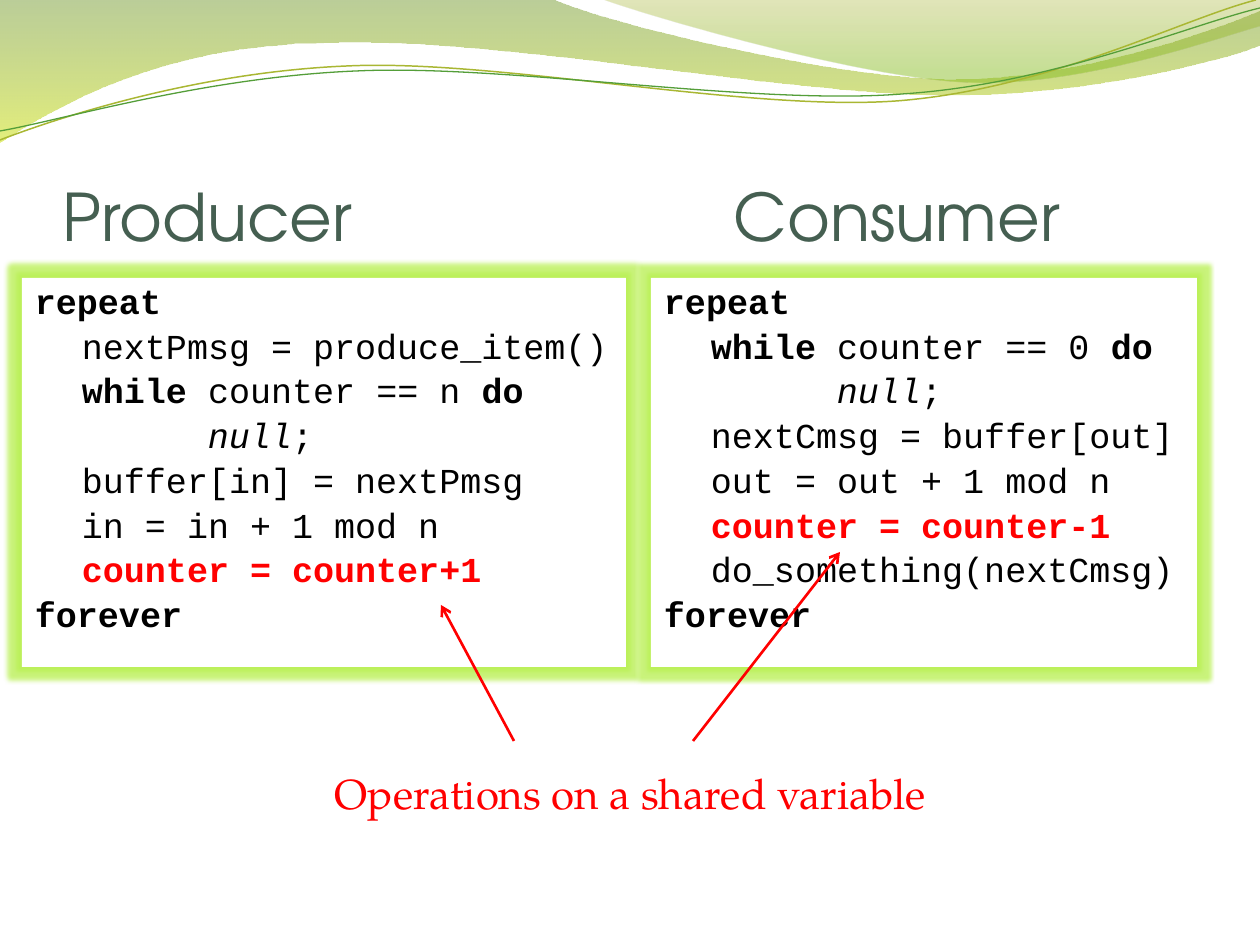
from lxml import etree
from pptx import Presentation
from pptx.dml.color import RGBColor
from pptx.enum.shapes import MSO_CONNECTOR, MSO_SHAPE
from pptx.enum.text import MSO_ANCHOR, PP_ALIGN
from pptx.oxml.ns import qn
from pptx.util import Pt

STRAIGHT = MSO_CONNECTOR.STRAIGHT
RECT = MSO_SHAPE.RECTANGLE
TOP, BOTTOM = MSO_ANCHOR.TOP, MSO_ANCHOR.BOTTOM
LEFT, CENTER = PP_ALIGN.LEFT, PP_ALIGN.CENTER

PX = 914400 / 126
COLORS = {
    "white": "FFFFFF", "black": "000000", "red": "FF0000", "title": "455F51",
    "moss": "69921C", "lime": "CCE10F", "olive": "9BAA1A", "leaf": "81BA16",
    "gold": "A9B733", "green": "549E39", "glow": "B8F050",
}
STYLES = {"": {}, "b": {"bold": True}, "i": {"italic": True},
          "r": {"bold": True, "color": "red"}}

BAND = [(0, 0), (554, 0), (599, 21, 835, 79, 955, 79),
        (1075, 79, 1207, 33, 1260, 11), (1260, 45),
        (1239, 55, 1095, 96, 940, 95), (784, 94, 480, 35, 324, 43),
        (163, 45, 58, 105, 0, 142)]
VEIL = [(604, 0), (641, 14, 859, 78, 968, 82),
        (1077, 87, 1211, 40, 1260, 26), (1260, 0)]
UPPER = [(0, 140), (60, 117, 198, 72, 348, 66),
         (498, 59, 746, 112, 897, 101), (1050, 89, 1182, 19, 1256, 0)]
LOWER = [(0, 131), (59, 121, 205, 77, 357, 71),
         (507, 64, 752, 106, 903, 94), (1053, 84, 1186, 26, 1260, 8)]

MAKER = [
    [("b", "repeat")],
    [("", "\tnextPmsg = produce_item()")],
    [("", "\t"), ("b", "while"), ("", " counter == n "), ("b", "do")],
    [("", "\t\t"), ("i", "null"), ("", ";")],
    [("", "\tbuffer[in] = nextPmsg")],
    [("", "\tin = in + 1 mod n")],
    [("", "\t"), ("r", "counter = counter+1")],
    [("b", "forever")],
]
TAKER = [
    [("b", "repeat")],
    [("", "\t"), ("b", "while"), ("", " counter == 0 "), ("b", "do")],
    [("", "\t\t"), ("i", "null"), ("", ";")],
    [("", "\tnextCmsg = buffer[out]")],
    [("", "\tout = out + 1 mod n")],
    [("", "\t"), ("r", "counter = counter-1")],
    [("", "\tdo_something(nextCmsg)")],
    [("b", "forever")],
]


def emu(px):
    return round(px * PX)


def rgb(name):
    return RGBColor.from_string(COLORS[name])


def add_run(para, text, font, size, color, bold=False, italic=False):
    run = para.add_run()
    run.text = text
    run.font.name = font
    run.font.size = Pt(size)
    run.font.bold = bold
    run.font.italic = italic
    run.font.color.rgb = rgb(color)


def set_pads(frame, left, top, right, bottom):
    frame.margin_left, frame.margin_top = emu(left), emu(top)
    frame.margin_right, frame.margin_bottom = emu(right), emu(bottom)


def add_wave(slide, box, parts, close):
    points = [(emu(box[0] + part[i]), emu(box[1] + part[i + 1]))
              for part in parts for i in range(0, len(part), 2)]
    pen = slide.shapes.build_freeform(*points[0], scale=1.0)
    pen.add_line_segments(points[1:], close=close)
    wave = pen.convert_to_shape()
    wave.shadow.inherit = False
    legs = iter(list(wave.element.spPr.iter(qn("a:lnTo"))))
    for part in parts[1:]:
        group = [next(legs) for _ in range(len(part) // 2)]
        if len(group) == 3:
            curve = etree.Element(qn("a:cubicBezTo"))
            group[0].addprevious(curve)
            for leg in group:
                curve.append(leg[0])
                leg.getparent().remove(leg)
    return wave


def add_header(slide, box):
    fills = [(BAND, [(0, "moss", 45), (1, "lime", 55)]),
             (VEIL, [(0, "olive", 30), (0.8, "leaf", 45)])]
    for parts, stops in fills:
        wave = add_wave(slide, box, parts, True)
        wave.line.fill.background()
        wave.fill.gradient()
        wave.fill.gradient_angle = 270
        for stop, (place, color, alpha) in zip(wave.fill.gradient_stops, stops):
            stop.position = place
            stop.color.rgb = rgb(color)
        hues = wave.element.spPr.iter(qn("a:srgbClr"))
        for hue, (place, color, alpha) in zip(hues, stops):
            etree.SubElement(hue, qn("a:alpha"), val=str(alpha * 1000))
    for parts, color, width in [(UPPER, "gold", 0.85), (LOWER, "green", 0.75)]:
        wave = add_wave(slide, box, parts, False)
        wave.fill.background()
        wave.line.color.rgb = rgb(color)
        wave.line.width = Pt(width)


def add_title(slide, box, words, gap):
    frame = slide.shapes.add_textbox(*map(emu, box)).text_frame
    frame.word_wrap = True
    frame.vertical_anchor = BOTTOM
    set_pads(frame, 0, 6, 0, 0)
    para = frame.paragraphs[0]
    tabs = etree.SubElement(para._p.get_or_add_pPr(), qn("a:tabLst"))
    etree.SubElement(tabs, qn("a:tab"), pos=str(emu(gap)), algn="l")
    add_run(para, "\t".join(words), "TeX Gyre Adventor", 37.5, "title")


def set_line(para):
    para.alignment = LEFT
    para.line_spacing = 0.9
    props = para._p.get_or_add_pPr()
    props.set("marL", str(emu(47)))
    props.set("indent", str(emu(-47)))
    props.set("defTabSz", str(emu(126)))
    space = etree.SubElement(props, qn("a:spcBef"))
    etree.SubElement(space, qn("a:spcPct"), val="20000")


def add_code(slide, box, lines):
    card = slide.shapes.add_shape(RECT, *map(emu, box))
    card.shadow.inherit = False
    card.fill.solid()
    card.fill.fore_color.rgb = rgb("white")
    card.line.fill.background()
    glow = etree.SubElement(card.element.spPr.find(qn("a:effectLst")),
                            qn("a:glow"), rad=str(emu(9)))
    hue = etree.SubElement(glow, qn("a:srgbClr"), val=COLORS["glow"])
    etree.SubElement(hue, qn("a:alpha"), val="75000")
    frame = card.text_frame
    frame.word_wrap = True
    frame.vertical_anchor = TOP
    set_pads(frame, 13, 6, 13, 6)
    for index, line in enumerate(lines):
        para = frame.add_paragraph() if index else frame.paragraphs[0]
        set_line(para)
        for style, text in line:
            look = {"color": "black", **STYLES[style]}
            add_run(para, text, "Courier New", 20, **look)


def add_note(slide, box, text):
    frame = slide.shapes.add_textbox(*map(emu, box)).text_frame
    frame.word_wrap = False
    para = frame.paragraphs[0]
    para.alignment = CENTER
    add_run(para, text, "TeX Gyre Pagella", 24, "red")


def add_arrow(slide, start, end):
    arrow = slide.shapes.add_connector(STRAIGHT, *map(emu, start + end))
    arrow.line.color.rgb = rgb("red")
    arrow.line.width = Pt(1.5)
    etree.SubElement(arrow.line._get_or_add_ln(), qn("a:tailEnd"), type="arrow")
    etree.SubElement(arrow.element.spPr, qn("a:effectLst"))


def main():
    deck = Presentation()
    deck.slide_width, deck.slide_height = emu(1260), emu(945)
    slide = deck.slides.add_slide(deck.slide_layouts[6])
    add_header(slide, (0, 0, 1260, 142))
    add_title(slide, (63, 98, 1144, 157), ["Producer", "Consumer"], 671)
    add_code(slide, (22, 278, 604, 389), MAKER)
    add_code(slide, (651, 278, 546, 389), TAKER)
    add_note(slide, (315, 761, 631, 63), "Operations on a shared variable")
    add_arrow(slide, (693, 741), (840, 552))
    add_arrow(slide, (514, 741), (441, 605))
    deck.save("out.pptx")


if __name__ == "__main__":
    main()
